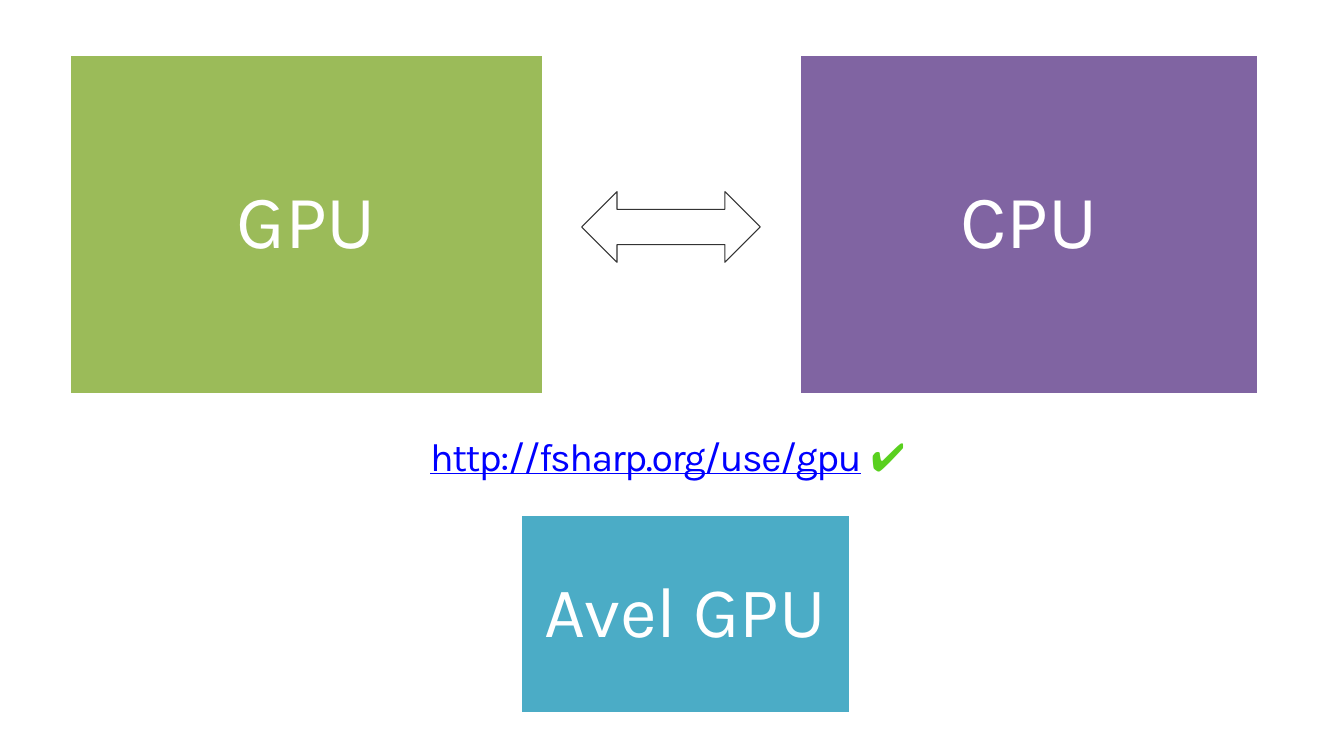
from pptx import Presentation
from pptx.dml.color import RGBColor
from pptx.enum.shapes import MSO_SHAPE as Shape
from pptx.enum.text import MSO_ANCHOR as Anchor, MSO_AUTO_SIZE as AutoSize, PP_ALIGN as Align
from pptx.util import Cm, Pt

COLORS = {
    "white": "FFFFFF", "black": "000000", "outline": "333333",
    "gpu": "9BBB59", "cpu": "8064A2", "library": "4BACC6",
    "link": "0000FF", "check": "59D01E",
}


def color(name):
    return RGBColor.from_string(COLORS[name])


def add_text(paragraph, text, size, fill, font="Karla", underline=False, spacing=0):
    run = paragraph.add_run()
    run.text = text
    run.font.name = font
    run.font.size = Pt(size)
    run.font.color.rgb = color(fill)
    run.font.underline = underline
    if spacing:
        run.font._element.set("spc", str(round(spacing * 100)))


class SlideBuilder:
    line_spacing = 0.9

    def __init__(self, slide):
        self.slide = slide

    def prepare(self, frame, inset, anchor):
        frame.word_wrap = True
        frame.vertical_anchor = anchor
        frame.margin_left = frame.margin_right = Cm(inset)
        frame.margin_top = frame.margin_bottom = Cm(inset)
        paragraph = frame.paragraphs[0]
        paragraph.alignment = Align.CENTER
        paragraph.line_spacing = self.line_spacing
        return paragraph

    def shape(self, kind, place, line, width, fill=None):
        item = self.slide.shapes.add_shape(kind, *map(Cm, place))
        item.shadow.inherit = False
        if fill:
            item.fill.solid()
            item.fill.fore_color.rgb = color(fill)
        else:
            item.fill.background()
        item.line.color.rgb = color(line)
        item.line.width = Pt(width)
        return item

    def block(self, label, place, fill, size, inset):
        item = self.shape(Shape.RECTANGLE, place, "white", 2, fill)
        paragraph = self.prepare(item.text_frame, inset, Anchor.MIDDLE)
        add_text(paragraph, label, size, "white")

    def title(self, place, pieces, size):
        heading = self.slide.shapes.title
        heading.left, heading.top, heading.width, heading.height = map(Cm, place)
        paragraph = self.prepare(heading.text_frame, 0, Anchor.TOP)
        heading.text_frame.auto_size = AutoSize.SHAPE_TO_FIT_TEXT
        for text, fill, underline in pieces:
            add_text(paragraph, text, size, fill, underline=underline, spacing=-1)


def main():
    deck = Presentation()
    deck.slide_width, deck.slide_height = Cm(33.87), Cm(19.05)
    builder = SlideBuilder(deck.slides.add_slide(deck.slide_layouts[5]))

    # Processors and the exchange between them
    top, height = 1.37, 8.56
    builder.block("GPU", (1.75, top, 11.94, height), "gpu", size=54, inset=0.69)
    builder.block("CPU", (20.14, top, 11.58, height), "cpu", size=54, inset=0.69)
    builder.shape(Shape.LEFT_RIGHT_ARROW, (14.66, 4.83, 4.5, 1.78), "outline", 0.75)

    # Address with check mark
    builder.title((1.4, 11.02, 31.04, 1.07), [
        ("http://fsharp.org/use/gpu", "link", True),
        (" ", "black", False),
        ("✔ ", "check", False),
    ], size=28)

    # Library
    builder.block("Avel GPU", (13.11, 12.98, 8.33, 5), "library", size=51, inset=0.53)

    deck.save("out.pptx")


if __name__ == "__main__":
    main()
